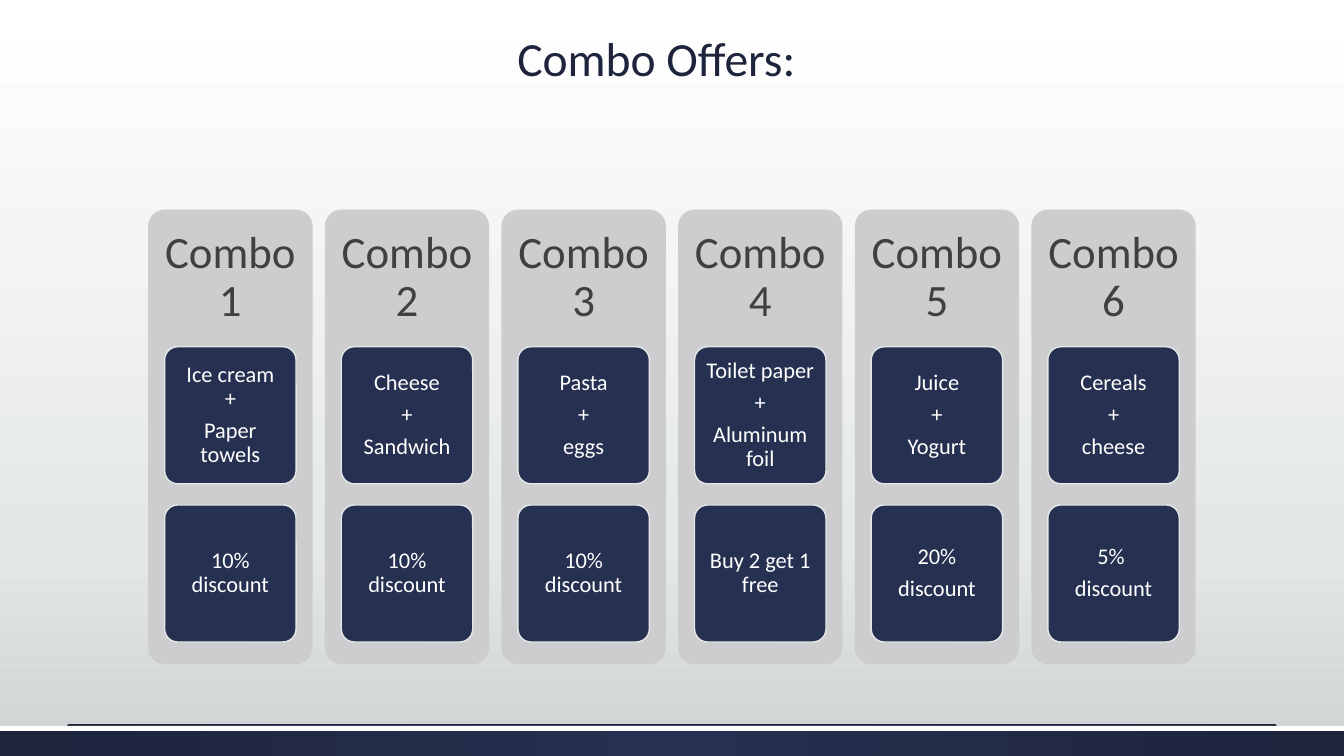
from lxml import etree
from pptx import Presentation
from pptx.dml.color import RGBColor
from pptx.enum.shapes import MSO_CONNECTOR, MSO_SHAPE
from pptx.enum.text import MSO_ANCHOR, PP_ALIGN
from pptx.oxml.ns import qn
from pptx.util import Inches, Pt

RECTANGLE = MSO_SHAPE.RECTANGLE
ROUNDED = MSO_SHAPE.ROUNDED_RECTANGLE
STRAIGHT = MSO_CONNECTOR.STRAIGHT
MIDDLE = MSO_ANCHOR.MIDDLE
BOTTOM = MSO_ANCHOR.BOTTOM
CENTER = PP_ALIGN.CENTER

WHITE = RGBColor(0xFF, 0xFF, 0xFF)
MIST = RGBColor(0xE5, 0xE8, 0xE8)
SILVER = RGBColor(0xCD, 0xD2, 0xD2)
PANEL_GREY = RGBColor(0xCD, 0xCD, 0xD0)
TEXT_GREY = RGBColor(0x40, 0x40, 0x40)
NAVY = RGBColor(0x26, 0x30, 0x50)
DARK_NAVY = RGBColor(0x1D, 0x24, 0x3C)

FONT = "Calibri"
COLUMN_PITCH = 1.752
COMBOS = [
    (["Ice cream\n+", "Paper towels"], ["10% discount"]),
    (["Cheese", "+", "Sandwich"], ["10% discount"]),
    (["Pasta", "+", "eggs"], ["10% discount"]),
    (["Toilet paper ", "+", "Aluminum foil"], ["Buy 2 get 1 free"]),
    (["Juice", "+", "Yogurt"], ["20%", "discount"]),
    (["Cereals", "+", "cheese"], ["5% ", "discount"]),
]


def paint_gradient(element, stops, radial=False):
    """Replace the gradient inside an element with the given stops."""
    gradient = element.find(".//" + qn("a:gradFill"))
    for child in list(gradient):
        gradient.remove(child)
    stop_list = etree.SubElement(gradient, qn("a:gsLst"))
    for percent, color in stops:
        stop = etree.SubElement(stop_list, qn("a:gs"), pos=str(percent * 1000))
        etree.SubElement(stop, qn("a:srgbClr"), val=str(color))
    if radial:
        circle = etree.SubElement(gradient, qn("a:path"), path="circle")
        etree.SubElement(circle, qn("a:fillToRect"), l="50000", t="50000",
                         r="50000", b="50000")
    else:
        etree.SubElement(gradient, qn("a:lin"), ang="5400000", scaled="0")


def write_text(shape, lines, size, color, anchor=MIDDLE, inset=(0.1, 0.05), after=0):
    """Fill a shape with centred paragraphs."""
    frame = shape.text_frame
    frame.word_wrap = True
    frame.vertical_anchor = anchor
    frame.margin_left = frame.margin_right = Inches(inset[0])
    frame.margin_top = frame.margin_bottom = Inches(inset[1])
    for index, line in enumerate(lines):
        para = frame.add_paragraph() if index else frame.paragraphs[0]
        para.text = line
        para.alignment = CENTER
        para.line_spacing = 0.9
        para.space_after = Pt(after)
        for span in para.runs:
            span.font.name = FONT
            span.font.size = Pt(size)
            span.font.color.rgb = color


def add_block(page, kind, box, fill, line=None):
    """Add a flat preset shape in the given box."""
    block = page.shapes.add_shape(kind, *map(Inches, box))
    block.shadow.inherit = False
    block.fill.solid()
    block.fill.fore_color.rgb = fill
    if kind == ROUNDED:
        block.adjustments[0] = 0.1
    if line is None:
        block.line.fill.background()
    else:
        block.line.color.rgb = line
        block.line.width = Pt(1)
    return block


def add_heading(page, box, text):
    """Add the slide title."""
    heading = page.shapes.add_textbox(*map(Inches, box))
    write_text(heading, [text], 34, DARK_NAVY, anchor=BOTTOM)


def add_combo(page, box, name, tiles):
    """Add one combo panel with its name and its stacked tiles."""
    left, top, width, height = box
    add_block(page, ROUNDED, box, PANEL_GREY)
    label = page.shapes.add_textbox(*map(Inches, (left, top, width, 0.3 * height)))
    write_text(label, [name], 32, TEXT_GREY, inset=(0.13, 0.13), after=11)
    for index, lines in enumerate(tiles):
        tile_box = (left + 0.1 * width, top + 1.36 + 1.57 * index, 0.8 * width, 1.36)
        tile = add_block(page, ROUNDED, tile_box, NAVY, line=MIST)
        write_text(tile, lines, 16, WHITE, inset=(0.08, 0.07), after=5.6)


def add_footer(page, box):
    """Add the bottom band, its white edge and the thin rule above it."""
    left, top, width, height = box
    band = add_block(page, RECTANGLE, box, NAVY)
    band.fill.gradient()
    paint_gradient(band._element, [(0, NAVY), (100, DARK_NAVY)], radial=True)
    add_block(page, RECTANGLE, (left, top, width, 0.05), WHITE)
    rule = page.shapes.add_connector(
        STRAIGHT, *map(Inches, (left + 0.67, top - 0.01, left + width - 0.67, top - 0.01)))
    rule.line.color.rgb = DARK_NAVY
    rule.line.width = Pt(0.75)
    etree.SubElement(rule._element.spPr, qn("a:effectLst"))


def main():
    """Build and save the slide."""
    deck = Presentation()
    deck.slide_width = Inches(13.33)
    deck.slide_height = Inches(7.5)
    page = deck.slides.add_slide(deck.slide_layouts[6])
    page.background.fill.gradient()
    paint_gradient(page._element, [(0, WHITE), (72, MIST), (100, SILVER)])
    add_footer(page, (0, 7.2, 13.33, 0.3))
    add_heading(page, (1.31, 0.2, 10.4, 0.71), "Combo Offers:")
    for index, tiles in enumerate(COMBOS):
        box = (1.47 + COLUMN_PITCH * index, 2.08, 1.63, 4.51)
        add_combo(page, box, f"Combo {index + 1}", tiles)
    deck.save("out.pptx")


if __name__ == "__main__":
    main()
